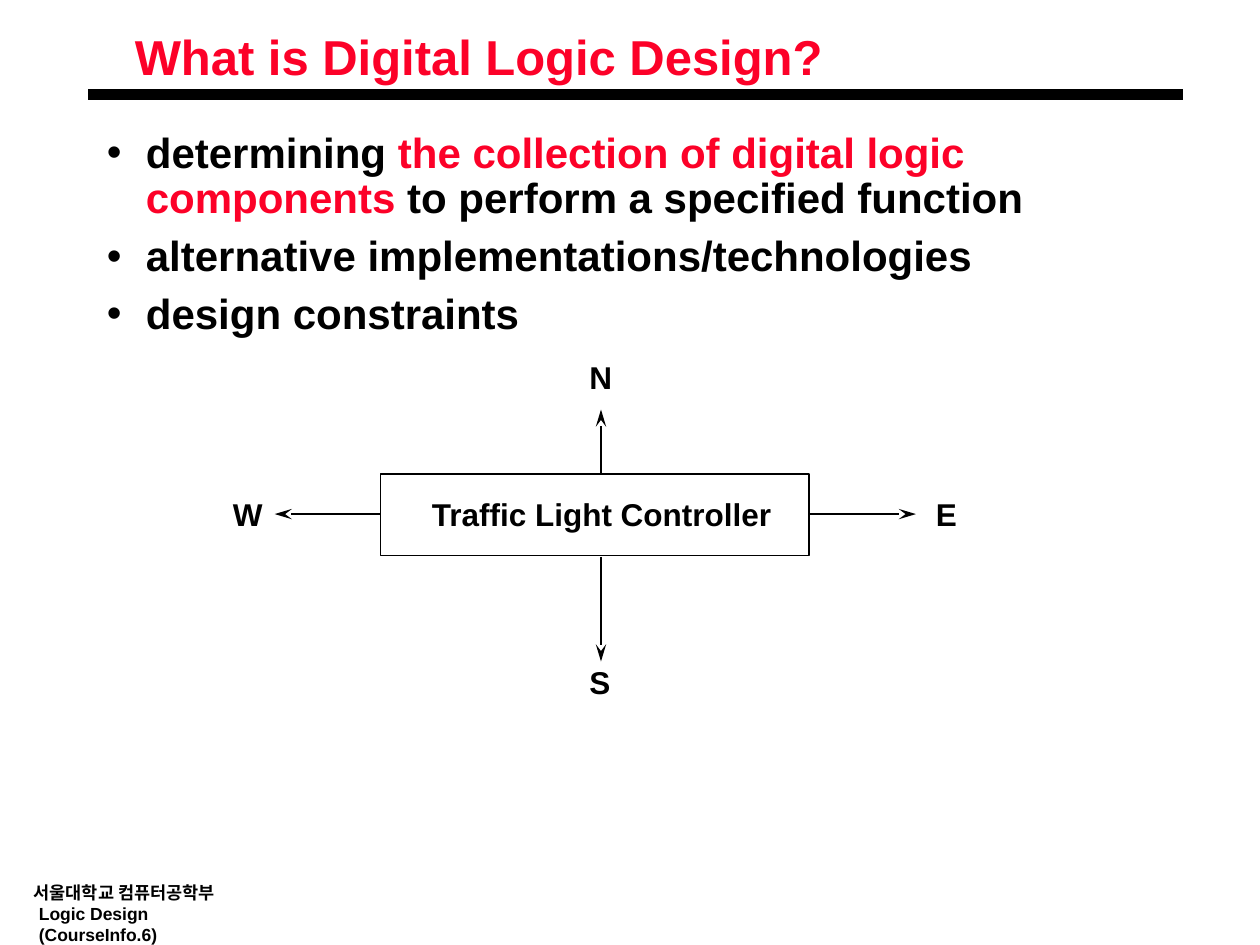
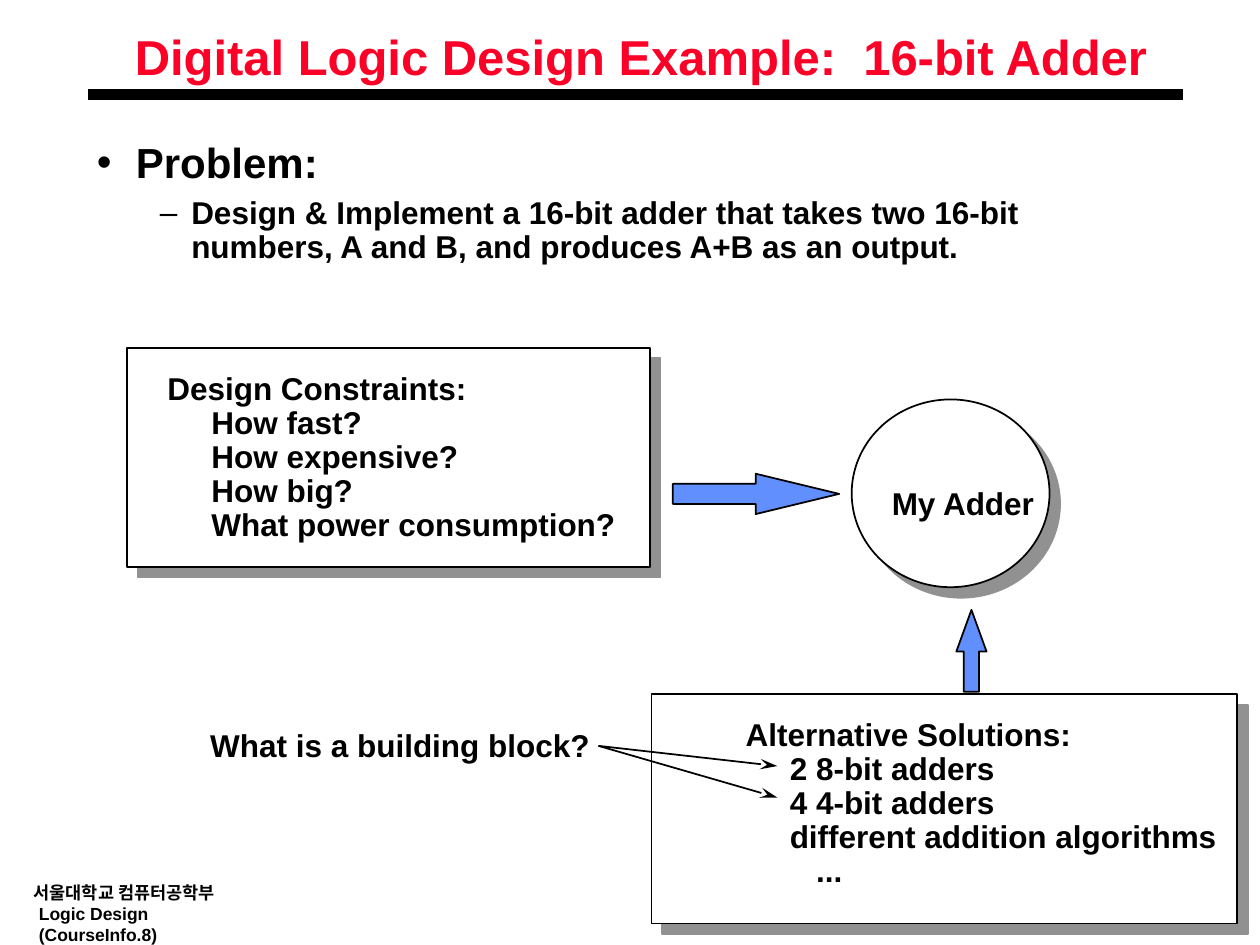
from lxml.etree import SubElement
from pptx import Presentation
from pptx.dml.color import RGBColor
from pptx.enum.shapes import MSO_CONNECTOR, MSO_SHAPE
from pptx.enum.text import MSO_ANCHOR, MSO_AUTO_SIZE
from pptx.oxml.ns import qn
from pptx.util import Inches, Pt

BLACK, WHITE, RED, BLUE, GRAY = "000000", "FFFFFF", "FC0128", "618FFD", "919191"


def color(code):
    return RGBColor.from_string(code)


class Deck:
    """Holds the shared style and the current slide."""

    font = "Arial"

    def __init__(self):
        self.prs = Presentation()
        self.prs.slide_width, self.prs.slide_height = Inches(10), Inches(7.5)
        self.slide = None

    def page(self, title, width, number):
        self.slide = self.prs.slides.add_slide(self.prs.slide_layouts[6])
        self.line((0.7, 0.75), (9.39, 0.75), 6, arrow=False)
        foot = [("서울대학교 컴퓨터공학부", 0), (f"Logic Design (CourseInfo.{number})", 0.04)]
        self.text((0.17, 7, 2.08, 0.5), foot, 10, space=1, middle=True)
        self.text((1, 0.25, width, 0.45), [(title, 0)], 28, RED, 0.85, (0.07, 0.03))

    def frame(self, place, pad=(0.1, 0.05)):
        box = self.slide.shapes.add_textbox(*map(Inches, place))
        frame = box.text_frame
        frame.margin_left = frame.margin_right = Inches(pad[0])
        frame.margin_top = frame.margin_bottom = Inches(pad[1])
        return frame

    def para(self, frame, first, space, indent):
        para = frame.paragraphs[0] if first else frame.add_paragraph()
        para.line_spacing = space
        if indent:
            para._p.get_or_add_pPr().set("marL", str(Inches(indent)))
        return para

    def run(self, para, words, size, code=BLACK):
        run = para.add_run()
        run.text = words
        run.font.name, run.font.size, run.font.bold = self.font, Pt(size), True
        run.font.color.rgb = color(code)

    def text(self, place, lines, size=18, code=BLACK, space=0.9, pad=(0.1, 0.05), middle=False):
        frame = self.frame(place, pad)
        frame.word_wrap = False
        if middle:
            frame.vertical_anchor = MSO_ANCHOR.MIDDLE
        else:
            frame.auto_size = MSO_AUTO_SIZE.SHAPE_TO_FIT_TEXT
        for at, (words, indent) in enumerate(lines):
            self.run(self.para(frame, at == 0, space, indent), words, size, code)

    def body(self, left, top, items):
        frame = self.frame((left, top, 8.5, 4.5))
        frame.word_wrap = True
        levels = [("•", 24, 0.31, 0.31), ("–", 18, 0.75, 0.25)]
        for at, (level, runs) in enumerate(items):
            mark, size, indent, hang = levels[level]
            para = self.para(frame, at == 0, 0.9, indent)
            para.level = level
            para.space_before = Pt(size * 0.3 if at else 0)
            props = para._p.get_or_add_pPr()
            props.set("indent", str(-Inches(hang)))
            tint = SubElement(props, qn("a:buClr"))
            SubElement(tint, qn("a:srgbClr"), val=BLACK)
            SubElement(props, qn("a:buFont"), typeface=self.font)
            SubElement(props, qn("a:buChar"), char=mark)
            for words, code in runs:
                self.run(para, words, size, code)

    def shape(self, kind, place, fill=WHITE, shade=False, bends=()):
        shape = self.slide.shapes.add_shape(kind, *map(Inches, place))
        shape.shadow.inherit = False
        shape.fill.solid()
        shape.fill.fore_color.rgb = color(fill)
        shape.line.color.rgb, shape.line.width = color(BLACK), Pt(1)
        for at, bend in enumerate(bends):
            shape.adjustments[at] = bend
        if shade:
            glow = SubElement(shape._element.spPr.find(qn("a:effectLst")), qn("a:outerShdw"),
                              dist=str(Pt(8.5)), dir="2700000", algn="ctr", rotWithShape="0")
            SubElement(glow, qn("a:srgbClr"), val=GRAY)

    def line(self, start, end, width=1, arrow=True):
        line = self.slide.shapes.add_connector(
            MSO_CONNECTOR.STRAIGHT, *map(Inches, (*start, *end)))
        line.line.color.rgb, line.line.width = color(BLACK), Pt(width)
        if arrow:
            SubElement(line.line._get_or_add_ln(), qn("a:tailEnd"),
                       type="stealth", w="med", len="lg")
        SubElement(line._element.spPr, qn("a:effectLst"))


def intro(deck):
    deck.page("What is Digital Logic Design?", 5.61, 6)
    deck.body(0.75, 1, [
        (0, [("determining ", BLACK),
             ("the collection of digital logic components", RED),
             (" to perform a specified function", BLACK)]),
        (0, [("alternative implementations/technologies", BLACK)]),
        (0, [("design constraints", BLACK)]),
    ])
    deck.shape(MSO_SHAPE.RECTANGLE, (3.02, 3.76, 3.4, 0.65))
    deck.text((3.33, 3.91, 2.91, 0.37), [("Traffic Light Controller", 0)])
    roads = [
        ("W", (1.75, 3.91, 0.44), (3.02, 4.08), (2.18, 4.08)),
        ("E", (7.33, 3.91, 0.37), (6.43, 4.08), (7.27, 4.08)),
        ("N", (4.58, 2.83, 0.38), (4.77, 3.75), (4.77, 3.25)),
        ("S", (4.58, 5.25, 0.37), (4.77, 4.42), (4.77, 5.25)),
    ]
    for name, place, start, end in roads:
        deck.line(start, end)
        deck.text((*place, 0.37), [(name, 0)])


def adder(deck):
    deck.page("Digital Logic Design Example:  16-bit Adder", 8.21, 8)
    task = ("Design & Implement a 16-bit adder that takes two 16-bit numbers, "
            "A and B, and produces A+B as an output.")
    deck.body(0.67, 1.08, [(0, [("Problem:", BLACK)]), (1, [(task, BLACK)])])
    step = 0.35
    deck.shape(MSO_SHAPE.RECTANGLE, (1.01, 2.76, 4.15, 1.74), shade=True)
    asks = ["How fast?", "How expensive?", "How big?", "What power consumption?"]
    deck.text((1.23, 2.91, 3.76, 1.45),
              [("Design Constraints:", 0)] + [(ask, step) for ask in asks])
    deck.shape(MSO_SHAPE.RECTANGLE, (5.17, 5.51, 4.65, 1.82), shade=True)
    ways = ["2 8-bit adders", "4 4-bit adders", "different addition algorithms"]
    deck.text((5.82, 5.66, 3.94, 1.45),
              [("Alternative Solutions:", 0)] + [(way, step) for way in ways] + [("...", 0.56)])
    deck.shape(MSO_SHAPE.OVAL, (6.76, 3.17, 1.57, 1.49), shade=True)
    deck.shape(MSO_SHAPE.RIGHT_ARROW, (5.34, 3.76, 1.32, 0.32), BLUE, bends=(0.5, 2.07))
    deck.shape(MSO_SHAPE.UP_ARROW, (7.59, 4.84, 0.24, 0.65), BLUE, bends=(0.5, 1.38))
    deck.text((6.98, 3.83, 1.34, 0.37), [("My Adder", 0)])
    deck.text((1.57, 5.75, 3.22, 0.37), [("What is a building block?", 0)])
    for top in (6.08, 6.33):
        deck.line((4.75, 5.92), (6.17, top))


def main():
    deck = Deck()
    intro(deck)
    adder(deck)
    deck.prs.save("out.pptx")


if __name__ == "__main__":
    main()
